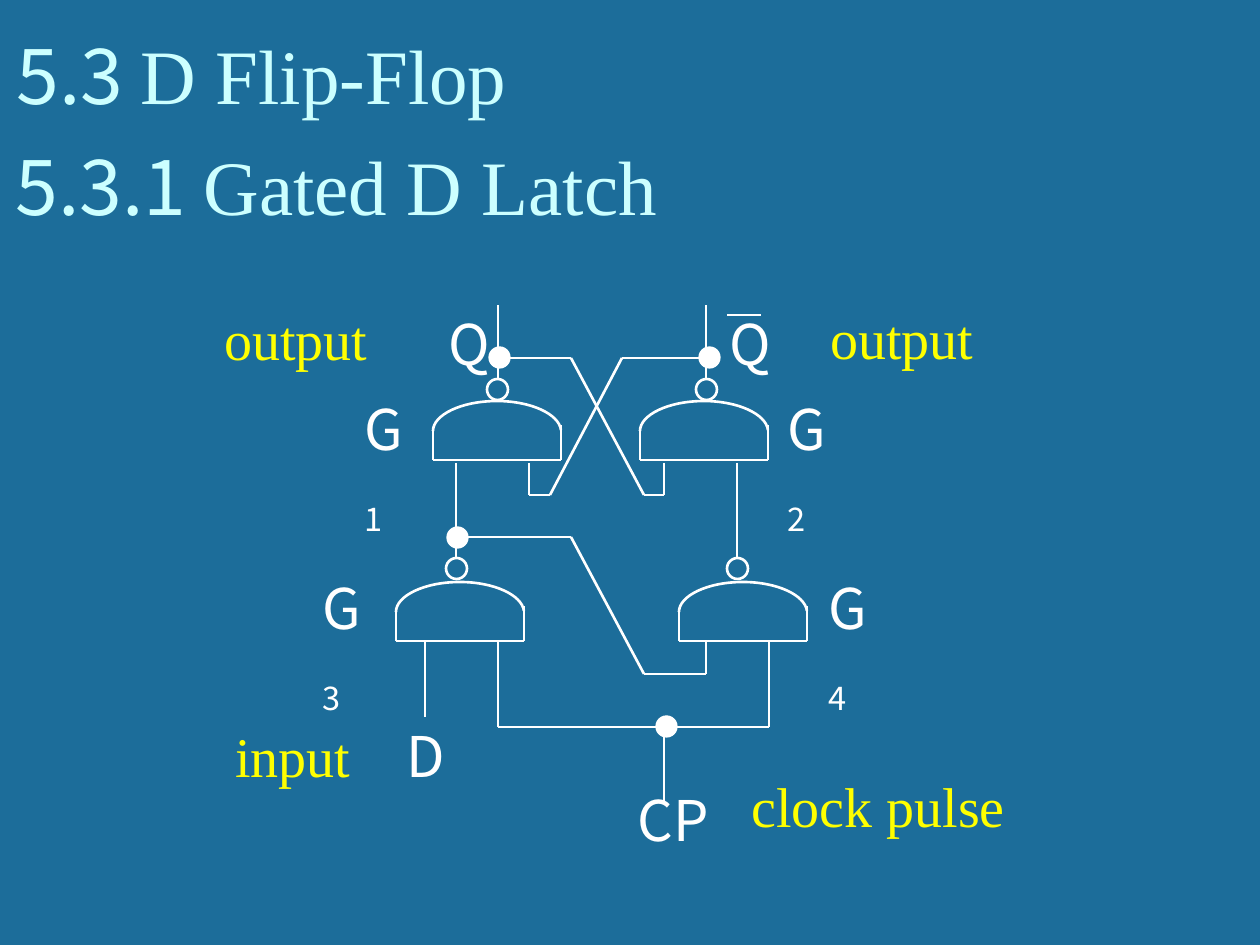
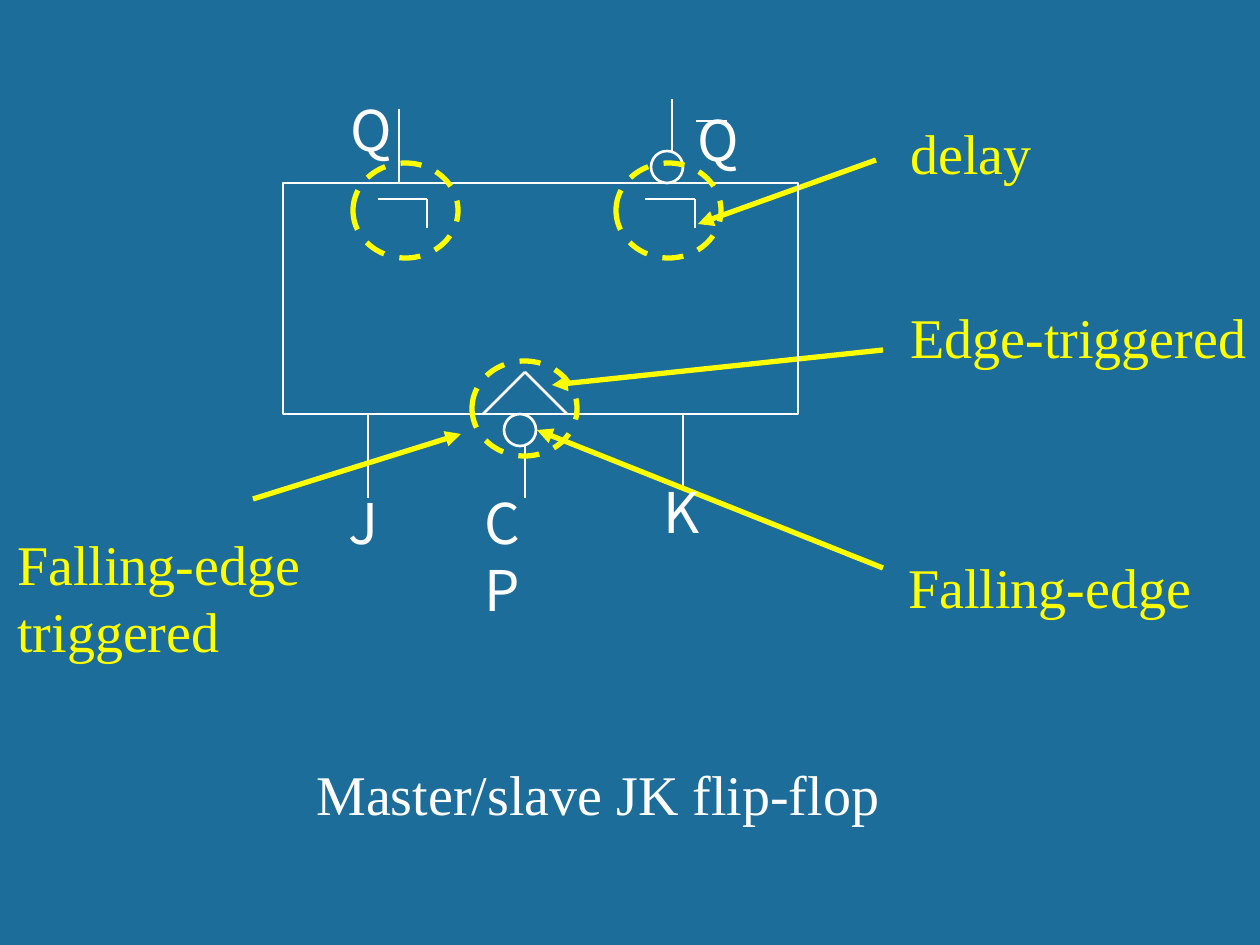
from lxml import etree
from pptx import Presentation
from pptx.dml.color import RGBColor
from pptx.enum.dml import MSO_LINE
from pptx.enum.shapes import MSO_CONNECTOR, MSO_SHAPE
from pptx.enum.text import MSO_ANCHOR, MSO_AUTO_SIZE, PP_ALIGN
from pptx.oxml.ns import qn
from pptx.util import Pt

PX = 914400 / 126
STRAIGHT = MSO_CONNECTOR.STRAIGHT
OVAL, RECTANGLE = MSO_SHAPE.OVAL, MSO_SHAPE.RECTANGLE
DASH = MSO_LINE.DASH
TOP, BOTTOM = MSO_ANCHOR.TOP, MSO_ANCHOR.BOTTOM
LEFT, NO_AUTOFIT = PP_ALIGN.LEFT, MSO_AUTO_SIZE.NONE

BLUE = RGBColor(0x1C, 0x6D, 0x9A)
ICE = RGBColor(0xCC, 0xFF, 0xFF)
WHITE = RGBColor(0xFF, 0xFF, 0xFF)
YELLOW = RGBColor(0xFF, 0xFF, 0x00)
SANS, SERIF = "Noto Sans CJK SC", "Times New Roman"


def px(*lengths):
    return [round(length * PX) for length in lengths]


def write(shape, runs, color, size=32, anchor=TOP):
    """Fill a box with (text, font, baseline) runs in one style."""
    frame = shape.text_frame
    frame.word_wrap = True
    frame.auto_size = NO_AUTOFIT
    frame.vertical_anchor = anchor
    paragraph = frame.paragraphs[0]
    paragraph.alignment = LEFT
    paragraph.font.size = Pt(size)
    paragraph.font.color.rgb = color
    for text, font, baseline in runs:
        run = paragraph.add_run()
        run.text = text
        run.font.name = font
        if baseline:
            run.font._element.set("baseline", str(baseline))
    if len({font for _, font, _ in runs}) == 1:
        paragraph.font.name = runs[0][1]


prs = Presentation()
prs.slide_width, prs.slide_height = px(1260, 945)
background = prs.slide_master.background.fill
background.solid()
background.fore_color.rgb = BLUE

latch = prs.slides.add_slide(prs.slide_layouts[5])
flip_flop = prs.slides.add_slide(prs.slide_layouts[6])
outlines = []  # shape, colour, line width, filled, dashed

# Headings of the latch slide
section = latch.shapes.title
section.left, section.top, section.width, section.height = px(4, 20, 1207, 106)
subsection = latch.shapes.add_textbox(*px(3, 131, 1207, 106))
for heading, number, words in [
    (section, "5.3 ", "D Flip-Flop"),
    (subsection, "5.3.1 ", "Gated D Latch"),
]:
    write(heading, [(number, SANS, 0), (words, SERIF, 0)], ICE, 44, BOTTOM)

# Wires of the latch, then of the flip-flop symbol
latch_wires = [
    [(498, 379), (498, 305)],
    [(706, 379), (706, 305)],
    [(498, 358), (571, 358), (644, 495), (664, 495)],
    [(664, 463), (664, 495)],
    [(706, 358), (622, 358), (550, 495)],
    [(529, 463), (529, 495), (550, 495)],
    [(456, 463), (456, 495)],
    [(456, 558), (456, 484)],
    [(737, 463), (737, 495)],
    [(737, 558), (737, 484)],
    [(571, 537), (456, 537)],
    [(571, 537), (644, 674), (706, 674)],
    [(706, 642), (706, 674)],
    [(425, 717), (425, 642)],
    [(498, 642), (498, 727), (769, 727), (769, 642)],
    [(664, 727), (664, 801)],
    [(727, 315), (761, 315)],
]
symbol_wires = [
    [(368, 414), (368, 498)],
    [(525, 446), (525, 498)],
    [(683, 414), (683, 488)],
    [(399, 183), (399, 109)],
    [(672, 151), (672, 99)],
    [(483, 414), (525, 372), (567, 414)],
    [(696, 121), (727, 121)],
    [(378, 199), (427, 199), (427, 228)],
    [(645, 199), (695, 199), (695, 228)],
]
pointers = [
    [(876, 160), (698, 224)],
    [(883, 350), (552, 385)],
    [(883, 568), (537, 430)],
    [(253, 499), (461, 434)],
]

# NAND gates: a curved dome on three straight sides
GATE_WIDTH, DOME, GATE_HEIGHT = 128, 30, 59
DOME_CURVES = [(0, 14), (28, 0), (64, 0), (98, 0), (126, 13), (128, 29)]
for left, top in [(433, 401), (640, 401), (396, 582), (679, 582)]:
    right, shoulder, base = left + GATE_WIDTH, top + DOME, top + GATE_HEIGHT
    builder = latch.shapes.build_freeform(left, shoulder, scale=PX)
    builder.add_line_segments([(left + x, top + y) for x, y in DOME_CURVES], close=False)
    dome = builder.convert_to_shape()
    outlines.append((dome, WHITE, 1.5, False, False))
    # Each three points become the controls and end of one curve
    outline = next(dome._element.iter(qn("a:path")))
    points = list(outline.iter(qn("a:pt")))[1:]
    for line in outline.findall(qn("a:lnTo")):
        outline.remove(line)
    for first in (0, 3):
        curve = etree.SubElement(outline, qn("a:cubicBezTo"))
        curve.extend(points[first:first + 3])
    latch_wires += [
        [(left, shoulder), (left, base)],
        [(right, shoulder - 6), (right, base)],
        [(left, base), (right, base)],
    ]

for slide, wires, color, width, arrow in [
    (latch, latch_wires, WHITE, 1.5, False),
    (flip_flop, symbol_wires, WHITE, 1.5, False),
    (flip_flop, pointers, YELLOW, 3, True),
]:
    for wire in wires:
        for start, end in zip(wire, wire[1:]):
            segment = slide.shapes.add_connector(STRAIGHT, *px(*start, *end))
            segment.line.color.rgb = color
            segment.line.width = Pt(width)
            if arrow:
                tail = etree.SubElement(segment.line._get_or_add_ln(), qn("a:tailEnd"))
                tail.set("type", "triangle")
            etree.SubElement(segment._element.spPr, qn("a:effectLst"))

# Body of the flip-flop symbol
body = flip_flop.shapes.add_shape(RECTANGLE, *px(283, 183, 515, 231))
outlines.append((body, WHITE, 1.5, False, False))

# Inverter bubbles, junction dots and dashed highlights
for slide, corners, width, height, color, weight, filled, dashed in [
    (latch, [(487, 379), (696, 379), (446, 558), (727, 558)], 21, 21, WHITE, 1.5, False, False),
    (latch, [(447, 527), (489, 347), (699, 347), (656, 716)], 21, 21, WHITE, 0.75, True, False),
    (flip_flop, [(651, 151), (504, 414)], 32, 32, WHITE, 1.5, False, False),
    (flip_flop, [(616, 163), (353, 163), (472, 361)], 105, 95, YELLOW, 3, False, True),
]:
    for corner in corners:
        ring = slide.shapes.add_shape(OVAL, *px(*corner, width, height))
        outlines.append((ring, color, weight, filled, dashed))

for shape, color, weight, filled, dashed in outlines:
    shape.shadow.inherit = False
    shape.line.color.rgb = color
    shape.line.width = Pt(weight)
    if dashed:
        shape.line.dash_style = DASH
    if filled:
        shape.fill.solid()
        shape.fill.fore_color.rgb = color
    else:
        shape.fill.background()

# Gate names with subscript numbers
for number, corner in enumerate([(352, 388), (775, 388), (310, 567), (816, 567)], 1):
    gate_name = latch.shapes.add_textbox(*px(*corner, 72, 79))
    write(gate_name, [("G", SANS, 0), (str(number), SANS, -25000)], WHITE)

# Signal names and explanations
for slide, text, left, top, width, height, font, color in [
    (latch, "Q", 717, 303, 53, 79, SANS, WHITE),
    (latch, "Q", 436, 303, 53, 79, SANS, WHITE),
    (latch, "D", 394, 715, 53, 80, SANS, WHITE),
    (latch, "CP", 625, 779, 115, 79, SANS, WHITE),
    (latch, "input", 223, 715, 142, 80, SERIF, YELLOW),
    (latch, "output", 212, 298, 171, 80, SERIF, YELLOW),
    (latch, "output", 818, 297, 171, 80, SERIF, YELLOW),
    (latch, "clock pulse", 739, 765, 283, 80, SERIF, YELLOW),
    (flip_flop, "J", 336, 482, 53, 79, SANS, WHITE),
    (flip_flop, "K", 651, 471, 53, 79, SANS, WHITE),
    (flip_flop, "CP", 472, 482, 82, 79, SANS, WHITE),
    (flip_flop, "Q", 338, 89, 53, 79, SANS, WHITE),
    (flip_flop, "Q", 685, 99, 53, 79, SANS, WHITE),
    (flip_flop, "Master/slave JK flip-flop", 304, 753, 597, 80, SERIF, WHITE),
    (flip_flop, "Edge-triggered", 898, 296, 451, 80, SERIF, YELLOW),
    (flip_flop, "delay", 898, 112, 272, 80, SERIF, YELLOW),
    (flip_flop, "Falling-edge", 896, 546, 438, 80, SERIF, YELLOW),
    (flip_flop, "Falling-edge triggered", 5, 523, 382, 149, SERIF, YELLOW),
]:
    label = slide.shapes.add_textbox(*px(left, top, width, height))
    write(label, [(text, font, 0)], color)

prs.save("out.pptx")
